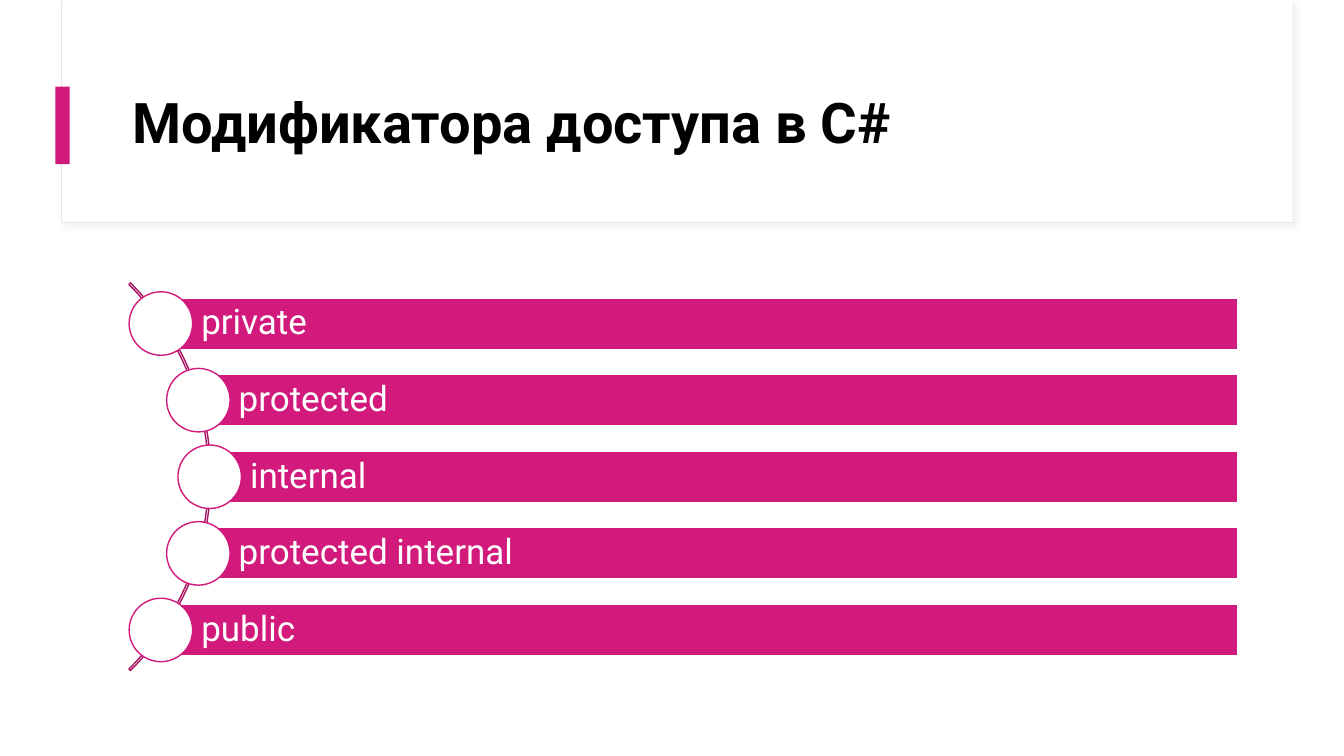
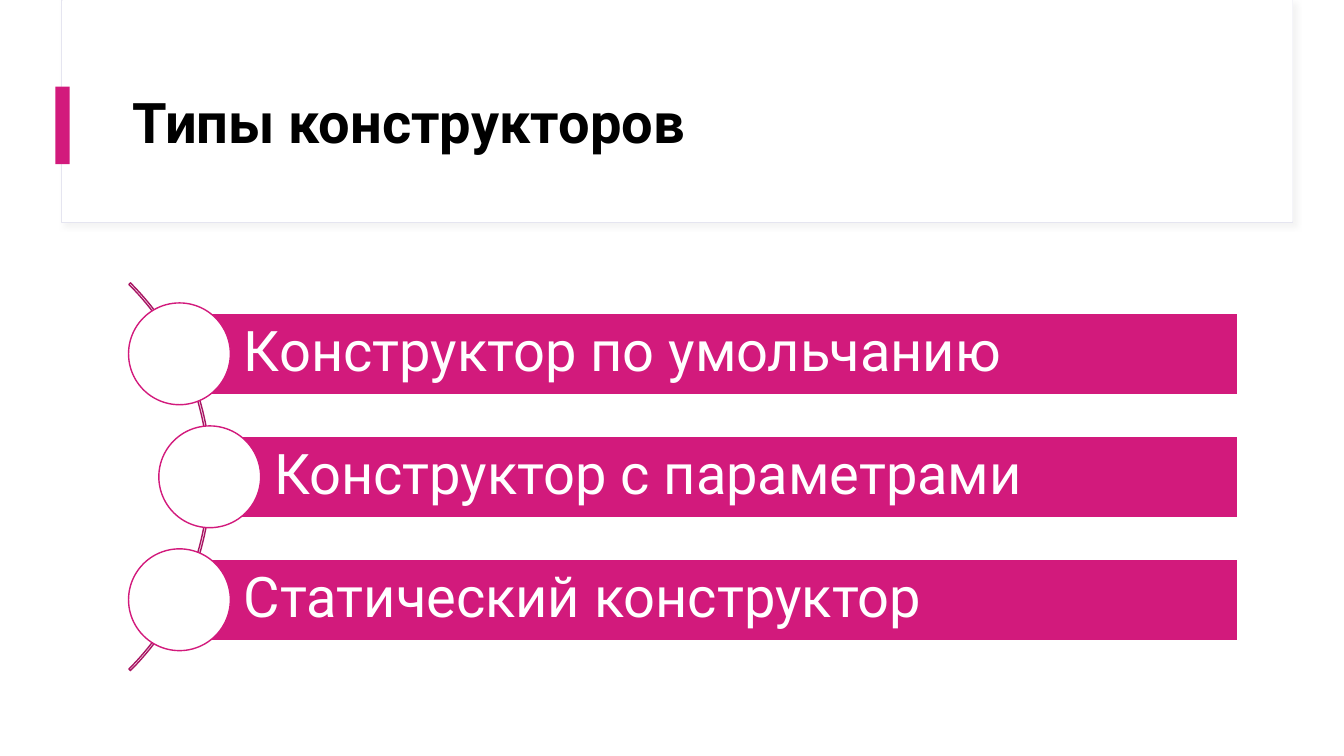
from math import sqrt

from lxml import etree
from pptx import Presentation
from pptx.dml.color import RGBColor
from pptx.enum.shapes import MSO_SHAPE as SHAPE
from pptx.enum.text import MSO_ANCHOR as ANCHOR, PP_ALIGN as ALIGN
from pptx.oxml import parse_xml
from pptx.oxml.ns import nsdecls, qn
from pptx.util import Inches, Pt

COLORS = {
    "accent": "D21A7C",
    "arc": "A81563",
    "frame": "E5E5F0",
    "shadow": "D9D9D9",
    "white": "FFFFFF",
    "black": "000000",
}
FONT = "Roboto"

# The list bends around a curve whose rightmost point is level with the middle row.
CURVE_RIGHT, CURVE_MIDDLE, CURVE_RADIUS = 2.08, 4.73, 2.63
BAR_RIGHT = 12.28

SLIDES = [
    {
        "title": "Модификатора доступа в С#",
        "items": ["private", "protected", "internal", "protected internal", "public"],
        "pitch": 0.76, "bar_height": 0.51, "circle_size": 0.63,
        "font_size": 25, "indent": 0.4, "inset": 0.07,
    },
    {
        "title": "Типы конструкторов",
        "items": ["Конструктор по умольчанию", "Конструктор с параметрами",
                  "Статический конструктор"],
        "pitch": 1.22, "bar_height": 0.81, "circle_size": 1.01,
        "font_size": 40, "indent": 0.64, "inset": 0.11,
    },
]


def add_block(slide, kind, box, fill=None, line=None, line_width=1):
    """Add a shadowless preset shape; box is left, top, width, height in inches."""
    shape = slide.shapes.add_shape(kind, *map(Inches, box))
    shape.shadow.inherit = False
    if fill:
        shape.fill.solid()
        shape.fill.fore_color.rgb = RGBColor.from_string(COLORS[fill])
    else:
        shape.fill.background()
    if line:
        shape.line.color.rgb = RGBColor.from_string(COLORS[line])
        shape.line.width = Pt(line_width)
    else:
        shape.line.fill.background()
    return shape


def set_text(shape, text, size, color, bold=False):
    frame = shape.text_frame
    frame.word_wrap = True
    frame.vertical_anchor = ANCHOR.MIDDLE
    paragraph = frame.paragraphs[0]
    paragraph.text = text
    paragraph.alignment = ALIGN.LEFT
    paragraph.line_spacing = 0.9
    paragraph.font.name = FONT
    paragraph.font.size = Pt(size)
    paragraph.font.bold = bold
    paragraph.font.color.rgb = RGBColor.from_string(COLORS[color])


presentation = Presentation()
presentation.slide_width = Inches(13.33)
presentation.slide_height = Inches(7.5)
blank_layout = presentation.slide_layouts[6]

for content in SLIDES:
    slide = presentation.slides.add_slide(blank_layout)

    # Title band
    title_frame = add_block(slide, SHAPE.RECTANGLE, (0.61, 0, 12.21, 2.21),
                            "white", "frame", 0.75)
    effects = title_frame._element.spPr.find(qn("a:effectLst"))
    effects.append(parse_xml(
        f'<a:outerShdw {nsdecls("a")} blurRad="{Pt(4)}" dist="{Pt(3)}" dir="2700000"'
        f' algn="tl" rotWithShape="0"><a:srgbClr val="{COLORS["shadow"]}">'
        '<a:alpha val="30000"/></a:srgbClr></a:outerShdw>'))
    add_block(slide, SHAPE.RECTANGLE, (0.62, 0, 12.2, 2.2), "white")
    add_block(slide, SHAPE.RECTANGLE, (0.55, 0.86, 0.14, 0.77), "accent")
    title = slide.shapes.add_textbox(Inches(1.22), Inches(0.6), Inches(11.12), Inches(1.29))
    set_text(title, content["title"], 40, "black", bold=True)

    # Curved list
    arc = add_block(slide, SHAPE.BLOCK_ARC, (-3.35, 2.01, 5.44, 5.44), line="arc")
    for index, value in enumerate((189, 27, 0.004)):
        arc.adjustments[index] = value

    bar_height, circle_size = content["bar_height"], content["circle_size"]
    middle_row = (len(content["items"]) - 1) / 2
    for row, text in enumerate(content["items"]):
        offset = (row - middle_row) * content["pitch"]
        center_x = CURVE_RIGHT - CURVE_RADIUS + sqrt(CURVE_RADIUS ** 2 - offset ** 2)
        center_y = CURVE_MIDDLE + offset

        bar = add_block(slide, SHAPE.RECTANGLE,
                        (center_x, center_y - bar_height / 2, BAR_RIGHT - center_x, bar_height),
                        "accent", "white")
        set_text(bar, text, content["font_size"], "white")
        frame = bar.text_frame
        frame.margin_left = Inches(content["indent"])
        frame.margin_top = frame.margin_right = frame.margin_bottom = Inches(content["inset"])

        add_block(slide, SHAPE.OVAL,
                  (center_x - circle_size / 2, center_y - circle_size / 2,
                   circle_size, circle_size),
                  "white", "accent")

presentation.save("out.pptx")
